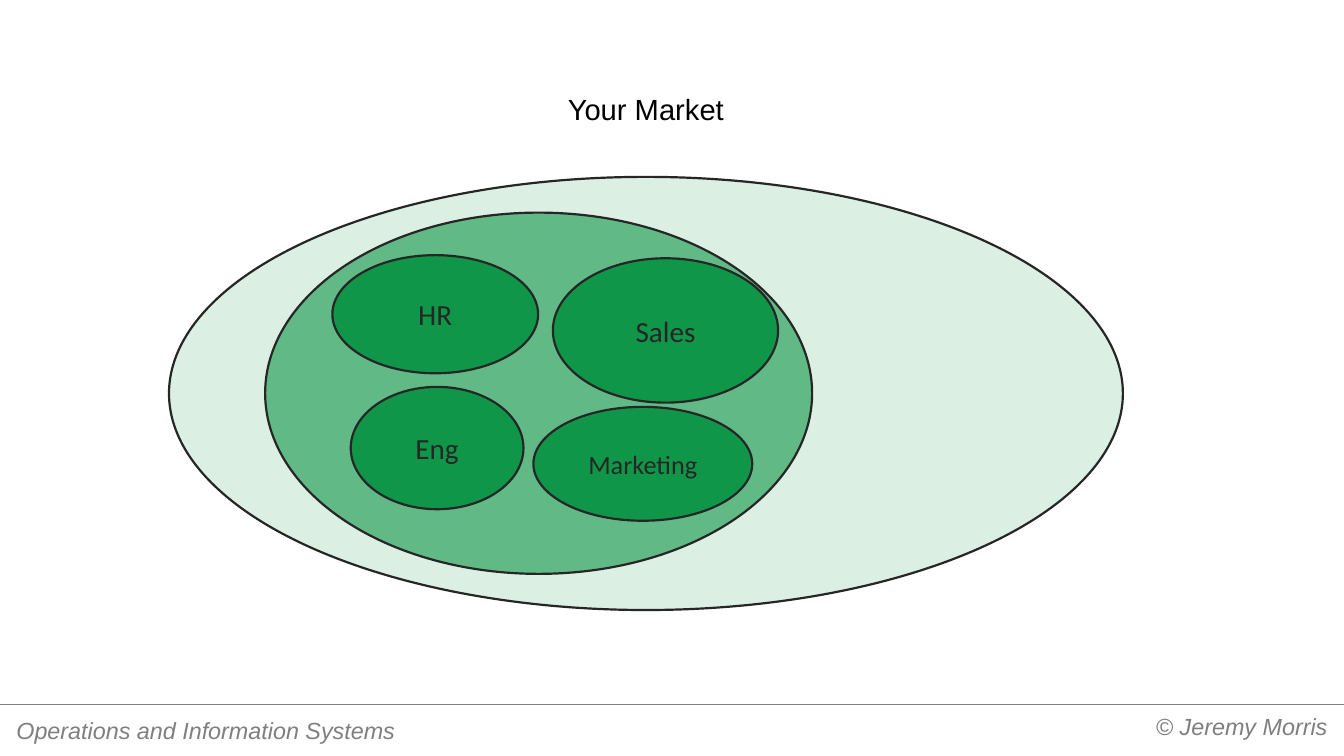
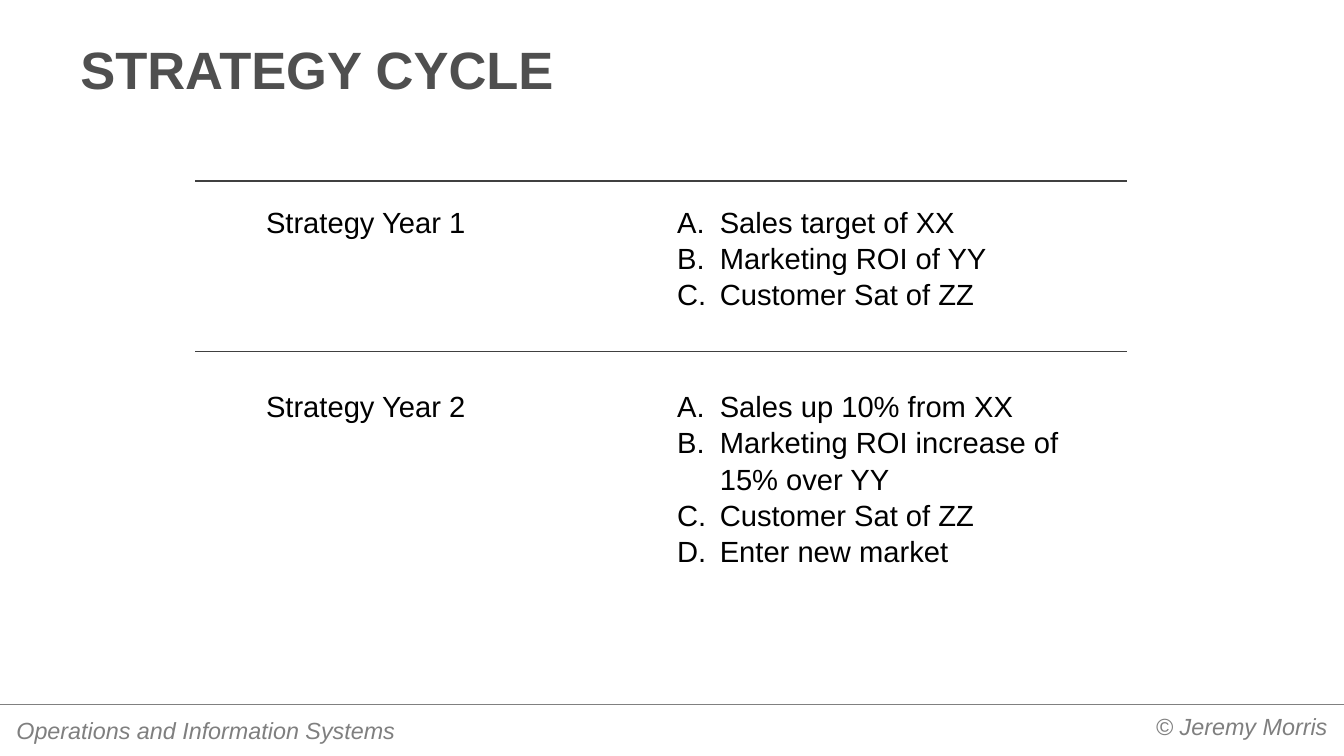
from lxml.etree import SubElement
from pptx import Presentation
from pptx.dml.color import RGBColor
from pptx.enum.shapes import MSO_CONNECTOR, MSO_SHAPE
from pptx.enum.text import MSO_ANCHOR, PP_ALIGN
from pptx.oxml.ns import qn
from pptx.util import Pt

WIDTH, HEIGHT = 1843.2, 1036.8
GREEN, OUTLINE = "109648", "262626"
BLACK, TITLE_GREY, FOOTER_GREY = "000000", "4F4F4F", "7F7F7F"
FOOTER_RULE, DIVIDER = "808080", "404040"
BODY_SIZE, BODY_LEADING = 40, 1.04
FOOTER_INSETS, TITLE_INSETS = (13, 6.5), (18, 8.6)


def color(code):
    """Turn a hex string into a colour."""
    return RGBColor.from_string(code)


def style_font(font, size, code, name="Arial", bold=False, italic=False):
    """Set the look of a run."""
    font.name, font.size = name, Pt(size)
    font.bold, font.italic = bold, italic
    font.color.rgb = color(code)


def add_text(page, place, lines, size=BODY_SIZE, code=BLACK, align=PP_ALIGN.LEFT,
             anchor=MSO_ANCHOR.TOP, insets=(7.2, 3.6), leading=None, **style):
    """Add a wrapped text box with one paragraph a line."""
    box = page.shapes.add_textbox(*map(Pt, place))
    frame = box.text_frame
    frame.word_wrap = True
    frame.vertical_anchor = anchor
    frame.margin_left = frame.margin_right = Pt(insets[0])
    frame.margin_top = frame.margin_bottom = Pt(insets[1])
    frame.text = "\n".join(lines)
    for para in frame.paragraphs:
        para.alignment = align
        para.line_spacing = leading
        for span in para.runs:
            style_font(span.font, size, code, **style)
    return box


def add_lettered_list(page, place, lines):
    """Add a text box whose paragraphs are numbered A., B., C."""
    box = add_text(page, place, lines, leading=BODY_LEADING)
    for para in box.text_frame.paragraphs:
        properties = para._p.get_or_add_pPr()
        properties.set("marL", str(Pt(58.5)))
        properties.set("indent", str(-Pt(58.5)))
        SubElement(properties, qn("a:buFont"), typeface="Arial")
        SubElement(properties, qn("a:buAutoNum"), type="alphaUcPeriod")


def add_rule(page, left, right, top, code, weight):
    """Add a horizontal line without a shadow."""
    rule = page.shapes.add_connector(
        MSO_CONNECTOR.STRAIGHT, Pt(left), Pt(top), Pt(right), Pt(top))
    rule.line.color.rgb = color(code)
    rule.line.width = Pt(weight)
    SubElement(rule._element.spPr, qn("a:effectLst"))


def add_ellipse(page, place, opacity=100, label="", size=BODY_SIZE):
    """Add a green ellipse, see-through or labelled where asked."""
    ellipse = page.shapes.add_shape(MSO_SHAPE.OVAL, *map(Pt, place))
    ellipse.shadow.inherit = False
    ellipse.fill.solid()
    ellipse.fill.fore_color.rgb = color(GREEN)
    if opacity < 100:
        fill = ellipse._element.spPr.find(qn("a:solidFill"))
        SubElement(fill[0], qn("a:alpha"), val=str(opacity * 1000))
    ellipse.line.color.rgb = color(OUTLINE)
    ellipse.line.width = Pt(3)
    if label:
        frame = ellipse.text_frame
        frame.text = label
        frame.vertical_anchor = MSO_ANCHOR.MIDDLE
        para = frame.paragraphs[0]
        para.alignment = PP_ALIGN.CENTER
        style_font(para.runs[0].font, size, OUTLINE, name="Calibri")


def add_page(deck):
    """Add a blank slide with the shared footer."""
    page = deck.slides.add_slide(deck.slide_layouts[6])
    add_rule(page, 0, WIDTH, 965.5, FOOTER_RULE, 0.75)
    footer = dict(size=32, code=FOOTER_GREY, italic=True, insets=FOOTER_INSETS)
    add_text(page, (1049.8, 970.6, 784, 60), ["© Jeremy Morris"],
             align=PP_ALIGN.RIGHT, **footer)
    add_text(page, (9.4, 976.3, 630, 51.8),
             ["Operations and Information Systems"], **footer)
    return page


def build_market(deck):
    """Show the departments inside the company inside its market."""
    page = add_page(deck)
    add_ellipse(page, (231.8, 242.6, 1308.2, 594), opacity=15)
    add_text(page, (702.7, 122.4, 365.8, 55.4), ["Your Market"],
             align=PP_ALIGN.CENTER)
    add_ellipse(page, (363.6, 291.6, 750.2, 495.4), opacity=60)
    departments = [
        ("HR", BODY_SIZE, (455.8, 349.9, 282.2, 162)),
        ("Eng", BODY_SIZE, (481, 530.6, 236.9, 167.8)),
        ("Sales", BODY_SIZE, (758.2, 354.2, 308.9, 198)),
        ("Marketing", 36, (731.5, 558, 300.2, 156.2)),
    ]
    for label, size, place in departments:
        add_ellipse(page, place, label=label, size=size)


def build_strategy(deck):
    """List the goals of each strategy year."""
    page = add_page(deck)
    add_text(page, (92.2, 38.2, 1658.9, 107.3), ["STRATEGY CYCLE"], size=72,
             code=TITLE_GREY, bold=True, anchor=MSO_ANCHOR.BOTTOM,
             insets=TITLE_INSETS)
    years = [
        ("Strategy Year 1", 248.4, 274.3, 491.8, 152.6,
         ["Sales target of XX", "Marketing ROI of YY", "Customer Sat of ZZ"]),
        ("Strategy Year 2", 482.4, 527, 624.2, 249.8,
         ["Sales up 10% from XX", "Marketing ROI increase of 15% over YY",
          "Customer Sat of ZZ", "Enter new market"]),
    ]
    for year, rule_top, top, width, height, goals in years:
        add_rule(page, 267.8, 1545.8, rule_top, DIVIDER, 2)
        add_text(page, (357.8, top, 491.8, 55.4), [year], leading=BODY_LEADING)
        add_lettered_list(page, (921.6, top, width, height), goals)


def main():
    """Build and save the deck."""
    deck = Presentation()
    deck.slide_width, deck.slide_height = Pt(WIDTH), Pt(HEIGHT)
    build_market(deck)
    build_strategy(deck)
    deck.save("out.pptx")


main()
